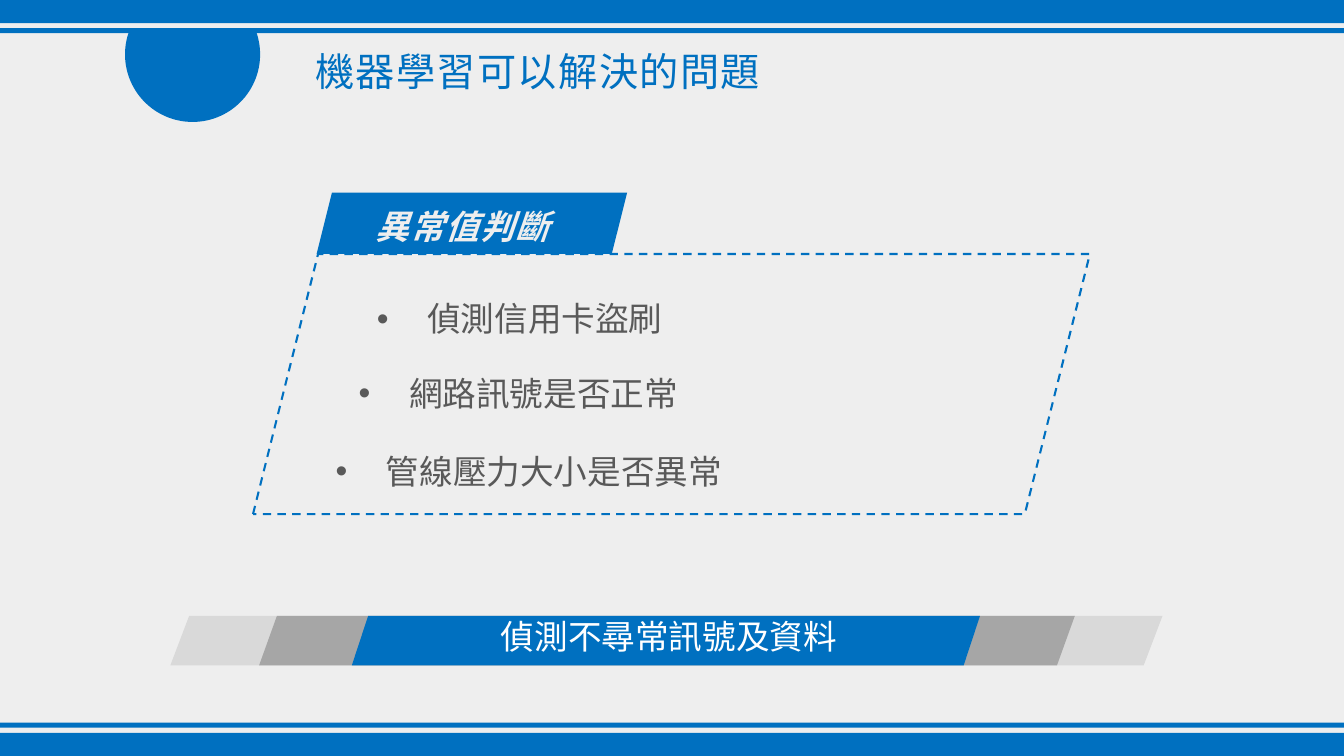
from math import cos, radians, sin

from lxml import etree
from pptx import Presentation
from pptx.dml.color import RGBColor
from pptx.enum.dml import MSO_LINE
from pptx.enum.shapes import MSO_SHAPE
from pptx.enum.text import MSO_AUTO_SIZE, PP_ALIGN
from pptx.oxml.ns import qn
from pptx.util import Inches, Pt

RECT = MSO_SHAPE.RECTANGLE
SLANT = MSO_SHAPE.PARALLELOGRAM
DASH = MSO_LINE.DASH
GROW = MSO_AUTO_SIZE.SHAPE_TO_FIT_TEXT
JUST = PP_ALIGN.JUSTIFY
LEFT = PP_ALIGN.LEFT

FONT = "Noto Sans CJK SC"
BLUE = "0070C0"
PALE = "EEEEEE"
WIDE, HIGH = 13.33, 7.5


def color(text):
    return RGBColor.from_string(text)


def paint(shape, fill):
    shape.shadow.inherit = False
    shape.line.fill.background()
    shape.fill.solid()
    shape.fill.fore_color.rgb = color(fill)


def block(slide, kind, box, fill):
    shape = slide.shapes.add_shape(kind, *map(Inches, box))
    paint(shape, fill)
    return shape


def label(slide, box, text, size, tint, align=JUST, lead=1.0, wrap=True,
          left=0, first=0, bullet=None, space=0, strong=False):
    frame = slide.shapes.add_textbox(*map(Inches, box)).text_frame
    frame.word_wrap = wrap
    frame.auto_size = GROW
    para = frame.paragraphs[0]
    para.text = text
    para.alignment = align
    para.line_spacing = lead
    props = para._p.get_or_add_pPr()
    props.set("marL", str(Inches(left)))
    props.set("indent", str(Inches(first)))
    if bullet:
        etree.SubElement(props, qn("a:buFont")).set("typeface", "Arial")
        etree.SubElement(props, qn("a:buChar")).set("char", bullet)
    font = para.font
    font.name = FONT
    font.size = Pt(size)
    font.color.rgb = color(tint)
    if strong:
        font.bold = font.italic = True
    etree.SubElement(font._rPr, qn("a:ea")).set("typeface", FONT)
    if space:
        font._rPr.set("spc", str(space))


def bands(slide):
    thick, thin, gap = 0.23, 0.05, 0.05
    inner = thick + gap
    for top, high in ((0, thick), (inner, thin),
                      (HIGH - thick, thick), (HIGH - inner - thin, thin)):
        block(slide, RECT, (0, top, WIDE, high), BLUE)


def header(slide, x, y, radius):
    start, end, step = -19, 199, 2
    points = [(Inches(x + radius * cos(radians(a))),
               Inches(y + radius * sin(radians(a))))
              for a in range(start, end + 1, step)]
    draw = slide.shapes.build_freeform(*points[0])
    draw.add_line_segments(points[1:], close=True)
    paint(draw.convert_to_shape(), BLUE)
    label(slide, (x + 0.31, y - 0.24, 8.53, 0.69), "機器學習可以解決的問題",
          28, BLUE, lead=1.25, first=0.81, space=100)


def panel(slide, x, y, wide, high):
    frame = slide.shapes.add_shape(SLANT, *map(Inches, (x, y, wide, high)))
    frame.shadow.inherit = False
    frame.fill.background()
    frame.line.color.rgb = color(BLUE)
    frame.line.width = Pt(1.5)
    frame.line.dash_style = DASH

    tab = 0.61
    block(slide, SLANT, (x + 0.63, y - tab, 3.08, tab), BLUE)
    label(slide, (x + 0.79, y - tab - 0.02, 2.29, tab), "異常值判斷", 24, PALE,
          lead=1.25, wrap=False, first=0.33, space=100, strong=True)

    for left, top, text in ((1.13, 0.23, "偵測信用卡盜刷"),
                            (0.95, 0.97, "網路訊號是否正常"),
                            (0.72, 1.74, "管線壓力大小是否異常")):
        label(slide, (x + left, y + top, 6, 0.61), text, 24, "595959",
              lead=1.4, left=0.5, first=-0.5, bullet="•")


def ribbon(slide, x, y, high):
    for left, wide, slope, fill in ((0, 9.84, 0.38, "D9D9D9"),
                                    (0.88, 8.09, 0.36, "A6A6A6"),
                                    (1.8, 6.23, 0.33, BLUE)):
        part = block(slide, SLANT, (x + left, y, wide, high), fill)
        part.adjustments[0] = slope
    label(slide, (x + 3.18, y - 0.05, 3.57, 0.5), "偵測不尋常訊號及資料", 24,
          "FFFFFF", align=LEFT, wrap=False)


def main():
    deck = Presentation()
    deck.slide_width, deck.slide_height = Inches(WIDE), Inches(HIGH)
    slide = deck.slides.add_slide(deck.slide_layouts[6])
    back = slide.background.fill
    back.solid()
    back.fore_color.rgb = color(PALE)
    bands(slide)
    header(slide, 1.91, 0.54, 0.67)
    ribbon(slide, 1.69, 6.11, 0.49)
    panel(slide, 2.51, 2.52, 8.3, 2.58)
    deck.save("out.pptx")


if __name__ == "__main__":
    main()
